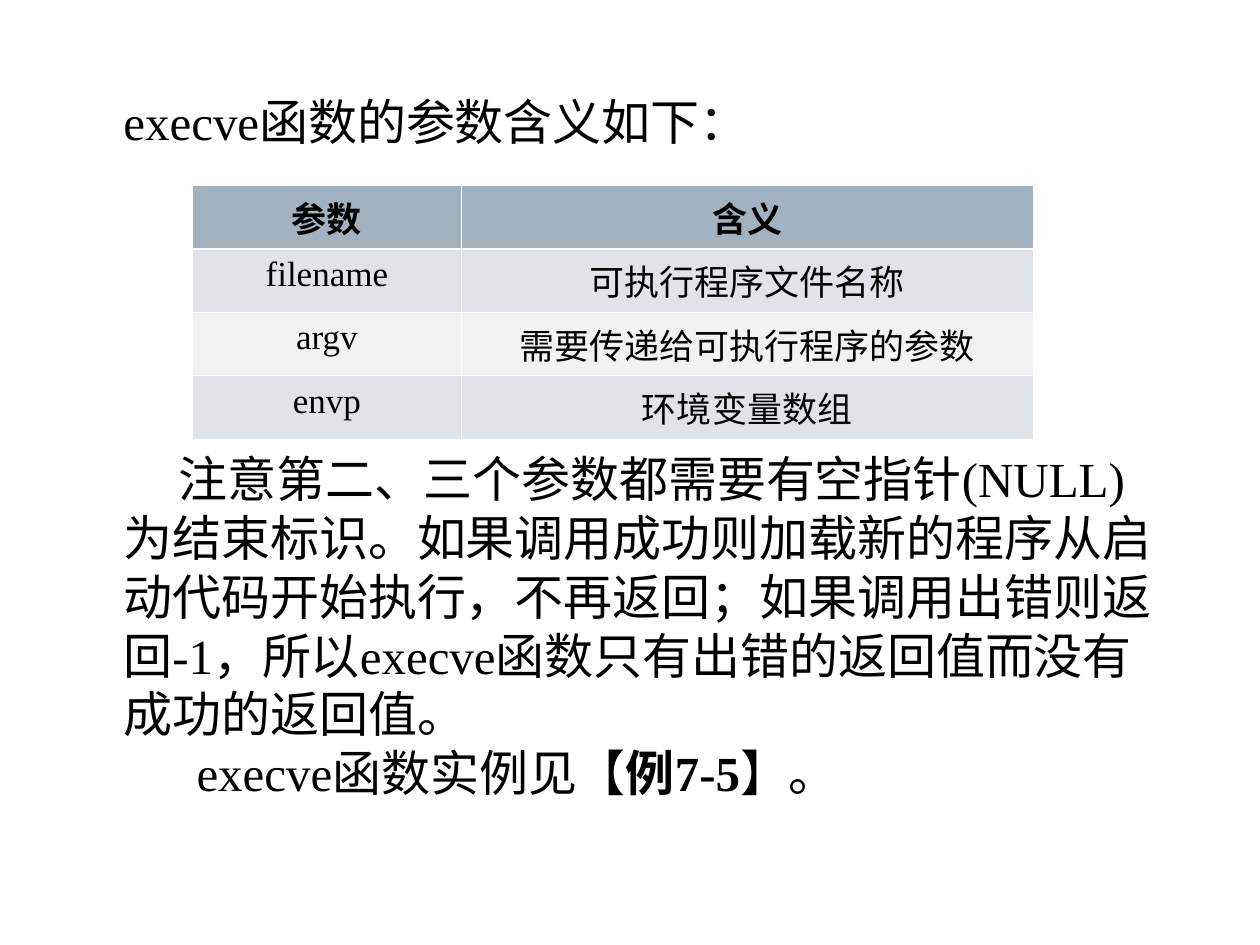
from lxml import etree
from pptx import Presentation
from pptx.dml.color import RGBColor
from pptx.enum.text import MSO_ANCHOR, MSO_AUTO_SIZE, PP_ALIGN
from pptx.oxml.ns import qn
from pptx.util import Inches, Pt

TOP = MSO_ANCHOR.TOP
NO_FIT = MSO_AUTO_SIZE.NONE
LEFT, CENTER = PP_ALIGN.LEFT, PP_ALIGN.CENTER
SERIF, SANS = "Times New Roman", "DejaVu Sans"
TITLE_AND_CONTENT = 1

PARAMETERS = [
    ("参数", "含义"),
    ("filename", "可执行程序文件名称"),
    ("argv", "需要传递给可执行程序的参数"),
    ("envp", "环境变量数组"),
]
ROW_FILLS = ["A3B2C1", "E0E4E9", "F0F2F4", "E0E4E9"]
NOTES = [
    (0.44, [("注意第二、三个参数都需要有空指针(NULL)为结束标识。"
             "如果调用成功则加载新的程序从启动代码开始执行，不再返回；"
             "如果调用出错则返回-1，所以execve函数只有出错的返回值而没有成功的返回值。", False)]),
    (0.58, [("execve函数实例见【", False), ("例7-5", True), ("】。", False)]),
]


def color(hex_code):
    """Return the colour for a hex string."""
    return RGBColor.from_string(hex_code)


def style_font(font, size, name=SERIF, bold=False):
    """Set a black font of the given size, face and weight."""
    font.size, font.name, font.bold = Pt(size), name, bold
    font.color.rgb = color("000000")


def place(placeholder, box):
    """Move a placeholder into box and return its top-anchored text frame."""
    placeholder.left, placeholder.top, placeholder.width, placeholder.height = map(Inches, box)
    frame = placeholder.text_frame
    frame.auto_size, frame.word_wrap, frame.vertical_anchor = NO_FIT, True, TOP
    return frame


def indent_first_line(paragraph, inches):
    """Remove the bullet and indent the first line only."""
    properties = paragraph._p.get_or_add_pPr()
    properties.set("marL", "0")
    properties.set("indent", str(Inches(inches)))
    etree.SubElement(properties, qn("a:buNone"))


def add_heading(slide, box):
    """Write the heading in the title placeholder."""
    heading = place(slide.shapes.title, box).paragraphs[0]
    heading.text = "execve函数的参数含义如下："
    heading.alignment = LEFT
    style_font(heading.font, 28)


def add_notes(slide, box):
    """Write the explanatory paragraphs in the body placeholder."""
    frame = place(slide.placeholders[1], box)
    for index, (indent, pieces) in enumerate(NOTES):
        note = frame.add_paragraph() if index else frame.paragraphs[0]
        note.space_before = Pt(0)
        indent_first_line(note, indent)
        style_font(note.font, 28)
        for text, bold in pieces:
            run = note.add_run()
            run.text = text
            style_font(run.font, 28, bold=bold)


def set_border(cell, side, width):
    """Draw one white cell border."""
    line = etree.Element(qn(f"a:{side}"), w=str(Pt(width)))
    fill = etree.SubElement(line, qn("a:solidFill"))
    etree.SubElement(fill, qn("a:srgbClr"), val="FFFFFF")
    properties = cell._tc.get_or_add_tcPr()
    borders = [child for child in properties if child.tag.startswith(qn("a:ln"))]
    properties.insert(len(borders), line)


def add_parameter_table(slide, box):
    """Build the table of parameters and their meanings."""
    left, top, width, height = map(Inches, box)
    table = slide.shapes.add_table(len(PARAMETERS), 2, left, top, width, height).table
    table.columns[0].width = Inches(2.13)
    table.columns[1].width = width - Inches(2.13)
    for row, texts in enumerate(PARAMETERS):
        header = row == 0
        for column, text in enumerate(texts):
            cell = table.cell(row, column)
            cell.fill.solid()
            cell.fill.fore_color.rgb = color(ROW_FILLS[row])
            thick_side = {0: "lnB", 1: "lnT"}.get(row)
            for side in ("lnL", "lnR", "lnT", "lnB"):
                set_border(cell, side, 1.5 if side == thick_side else 0.5)
            entry = cell.text_frame.paragraphs[0]
            entry.text = text
            entry.alignment = CENTER
            style_font(entry.font, 20, SANS if header else SERIF, header)


def main():
    """Build and save the slide."""
    deck = Presentation()
    deck.slide_width, deck.slide_height = Inches(10), Inches(7.5)
    slide = deck.slides.add_slide(deck.slide_layouts[TITLE_AND_CONTENT])
    add_heading(slide, (0.88, 0.68, 6.54, 0.57))
    add_parameter_table(slide, (1.53, 1.47, 6.67, 1.89))
    add_notes(slide, (0.88, 3.51, 8.53, 2.9))
    deck.save("out.pptx")


if __name__ == "__main__":
    main()
